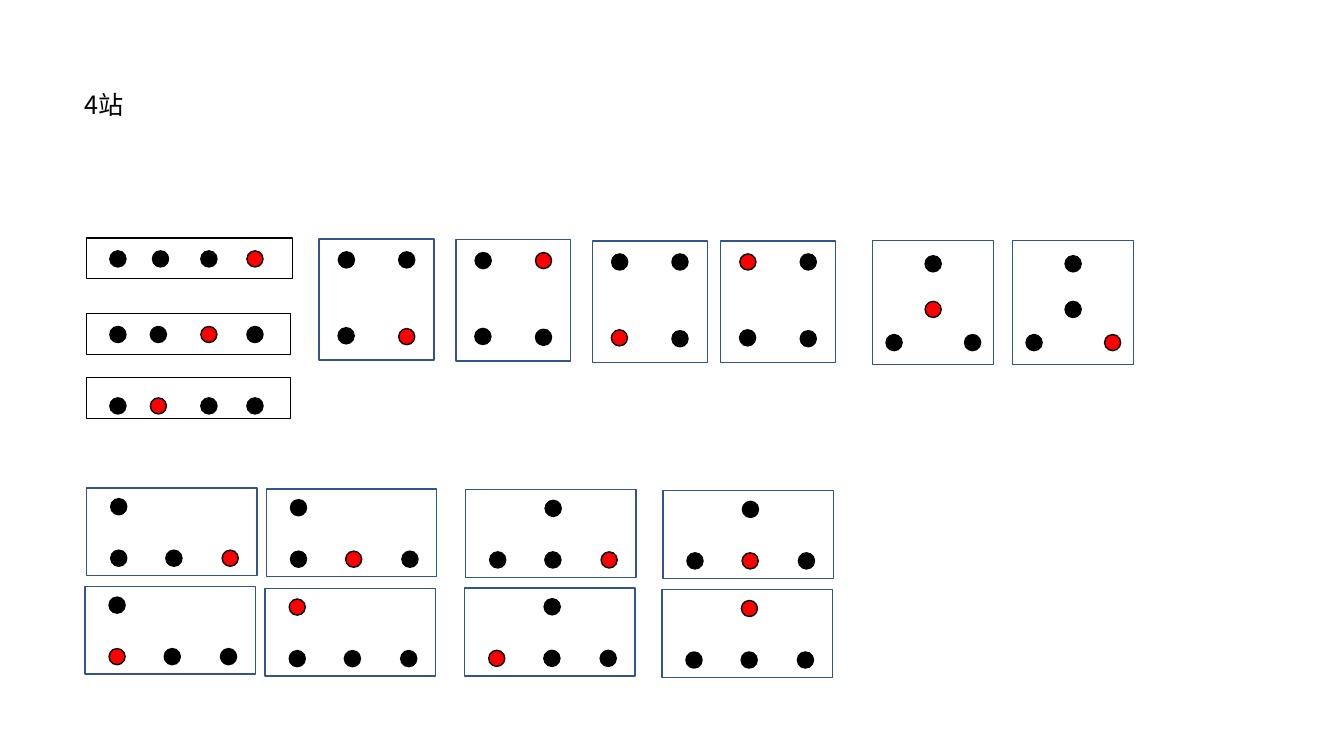
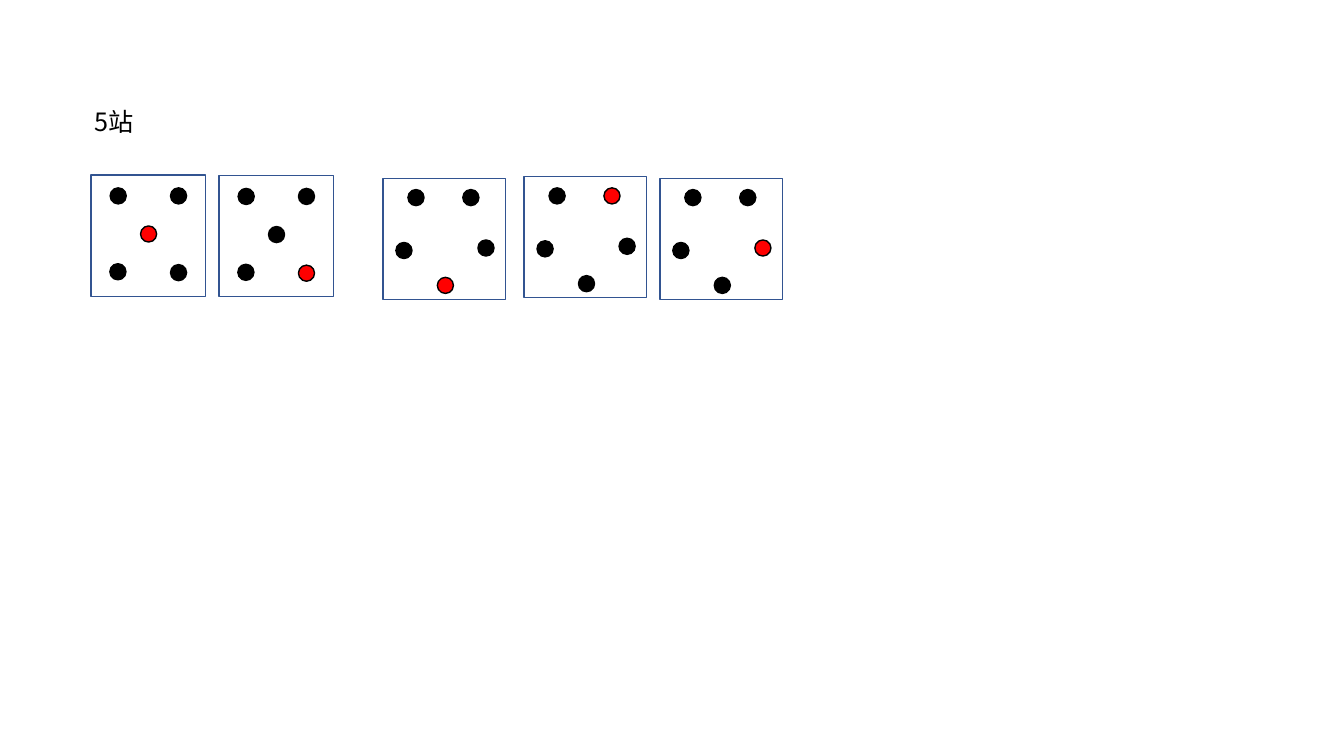
"""Draw the possible station layouts for four and five stations."""
from collections import namedtuple

from lxml import etree
from pptx import Presentation
from pptx.dml.color import RGBColor
from pptx.enum import shapes, text
from pptx.oxml import ns
from pptx.util import Pt

BLACK = RGBColor(0x00, 0x00, 0x00)
RED = RGBColor(0xFF, 0x00, 0x00)
BLUE = RGBColor(0x32, 0x54, 0x91)

Layout = namedtuple("Layout", "width height dots color weight", defaults=(BLUE, 1))


def row(width, second, y=9.2):
    """Return a layout with four stations in a line."""
    dots = [(x, y) for x in (16.6, second, 81.6, 114.5)]
    return Layout(width, 29, dots, BLACK, 0.75)


def branch(top_x):
    """Return a layout with three stations in a line and one above."""
    base = [(x, 44.5) for x in (17.2, 56.6, 96.8)]
    return Layout(121.7, 62.8, [(top_x, 7.7)] + base)


WIDE_ROW = row(147, 47)
ROW = row(145.4, 45.5)
LOW_ROW = row(145.4, 45.5, 14.4)
SQUARE = Layout(82, 86.6, [(13.7, 9.2), (56.8, 9.2), (13.5, 63.4), (56.8, 64)])
CENTERED = SQUARE._replace(dots=SQUARE.dots + [(35.4, 36.4)])
TRIANGLE = Layout(86.4, 88.5, [(37.5, 10.7), (37.5, 43.3), (9.6, 67), (65.7, 67)])
CORNER = branch(17.2)
TEE = branch(56.8)
PENTAGON = Layout(87.4, 86.4, [(17.8, 8), (57, 8), (9.2, 45.8), (67.8, 44), (38.8, 70.7)])

FOUR = [
    (WIDE_ROW, 61.9, 170, 3), (ROW, 61.9, 224, 2), (LOW_ROW, 61.9, 269.8, 1),
    (SQUARE, 228, 170.7, 3), (SQUARE, 325.7, 171.2, 1),
    (SQUARE, 423.2, 172.2, 2), (SQUARE, 514.8, 172.2, 0),
    (TRIANGLE, 623.3, 172, 1), (TRIANGLE, 723.3, 172, 3),
    (CORNER, 61.9, 348.5, 3), (CORNER, 190.3, 349.2, 2),
    (CORNER, 60.7, 418.8, 1), (CORNER, 189.4, 420.2, 0),
    (TEE, 332.6, 349.7, 3), (TEE, 473.5, 350.4, 2),
    (TEE, 331.9, 420, 1), (TEE, 472.8, 421.2, 0),
]
FIVE = [
    (CENTERED, 65, 125, 4), (CENTERED, 156.4, 125.4, 3),
    (PENTAGON, 273.6, 127.4, 4), (PENTAGON, 374.4, 126.2, 1),
    (PENTAGON, 471.4, 127.4, 3),
]


class Deck:
    """Hold the shared style and the current slide."""

    font = "Noto Sans CJK SC"
    font_size = 18
    dot_size = 11.5

    def __init__(self):
        self.prs = Presentation()
        self.prs.slide_width, self.prs.slide_height = Pt(960), Pt(540)
        self.s = None

    def slide(self, title, left, top):
        """Start a slide with its title at the given place."""
        self.s = self.prs.slides.add_slide(self.prs.slide_layouts[5])
        sp = self.s.shapes.title
        sp.left, sp.top, sp.width, sp.height = Pt(left), Pt(top), Pt(184), Pt(29)
        tf = sp.text_frame
        tf.text = title
        tf.word_wrap = True
        tf.auto_size = text.MSO_AUTO_SIZE.NONE
        tf.vertical_anchor = text.MSO_ANCHOR.TOP
        p = tf.paragraphs[0]
        p.alignment = text.PP_ALIGN.LEFT
        r = p.runs[0]
        r.font.size = Pt(self.font_size)
        r.font.color.rgb = BLACK
        r.font.name = self.font
        etree.SubElement(r.font._element, ns.qn("a:ea"), typeface=self.font)

    def shape(self, kind, left, top, width, height, line, weight, fill=None):
        """Add an outlined shape, filled only when a fill is given."""
        sp = self.s.shapes.add_shape(kind, Pt(left), Pt(top), Pt(width), Pt(height))
        sp.shadow.inherit = False
        sp.line.color.rgb = line
        sp.line.width = Pt(weight)
        if fill is None:
            sp.fill.background()
        else:
            sp.fill.solid()
            sp.fill.fore_color.rgb = fill

    def diagram(self, layout, left, top, marked):
        """Add a frame with its stations, one of them marked red."""
        self.shape(shapes.MSO_SHAPE.RECTANGLE, left, top, layout.width,
                   layout.height, layout.color, layout.weight)
        for i, (x, y) in enumerate(layout.dots):
            self.shape(shapes.MSO_SHAPE.FLOWCHART_CONNECTOR, left + x, top + y,
                       self.dot_size, self.dot_size, BLACK, 1,
                       RED if i == marked else BLACK)


def main():
    """Build and save both slides."""
    deck = Deck()
    for title, left, top, diagrams in (("4站", 53.3, 60.5, FOUR), ("5站", 60, 72, FIVE)):
        deck.slide(title, left, top)
        for diagram in diagrams:
            deck.diagram(*diagram)
    deck.prs.save("out.pptx")


if __name__ == "__main__":
    main()
